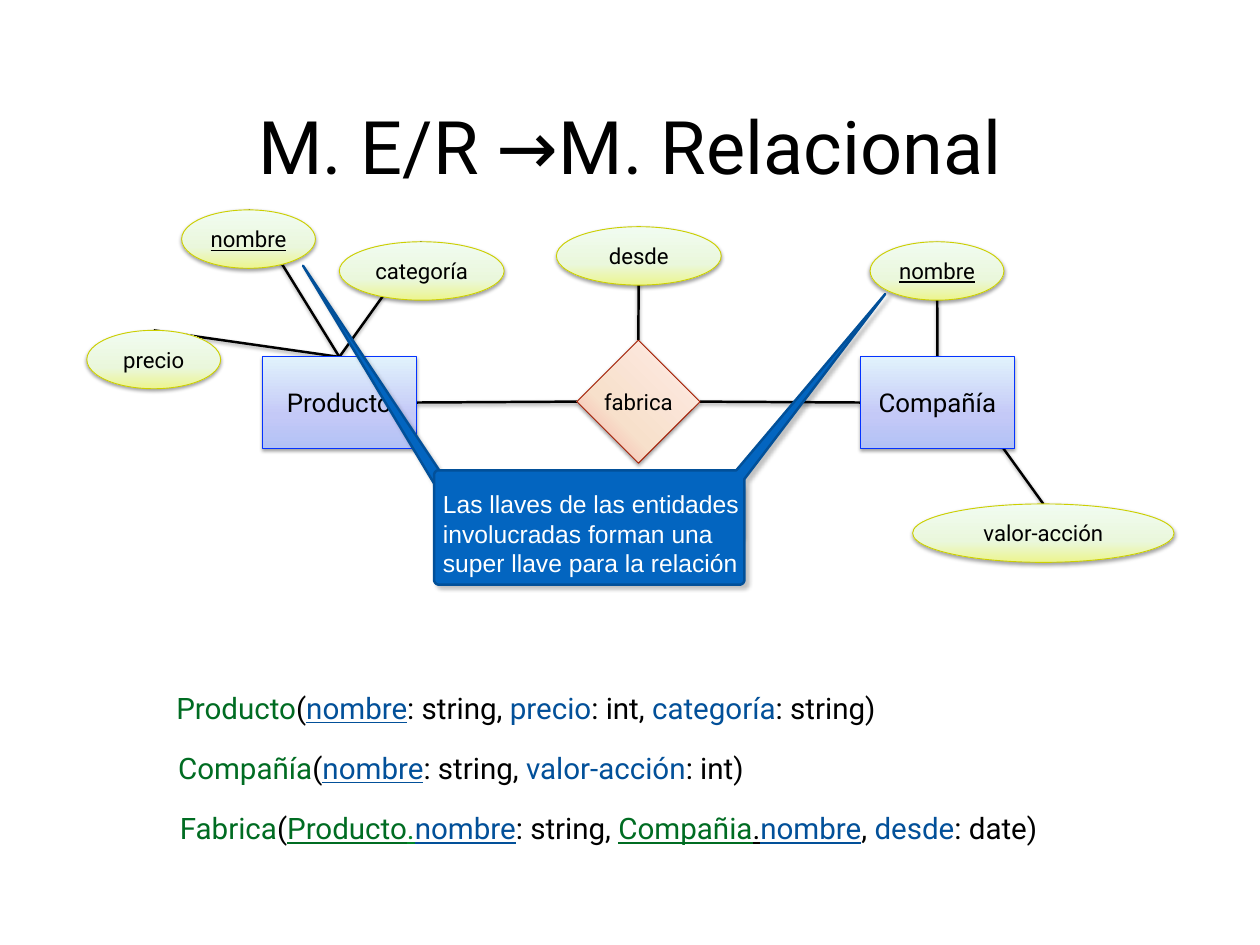
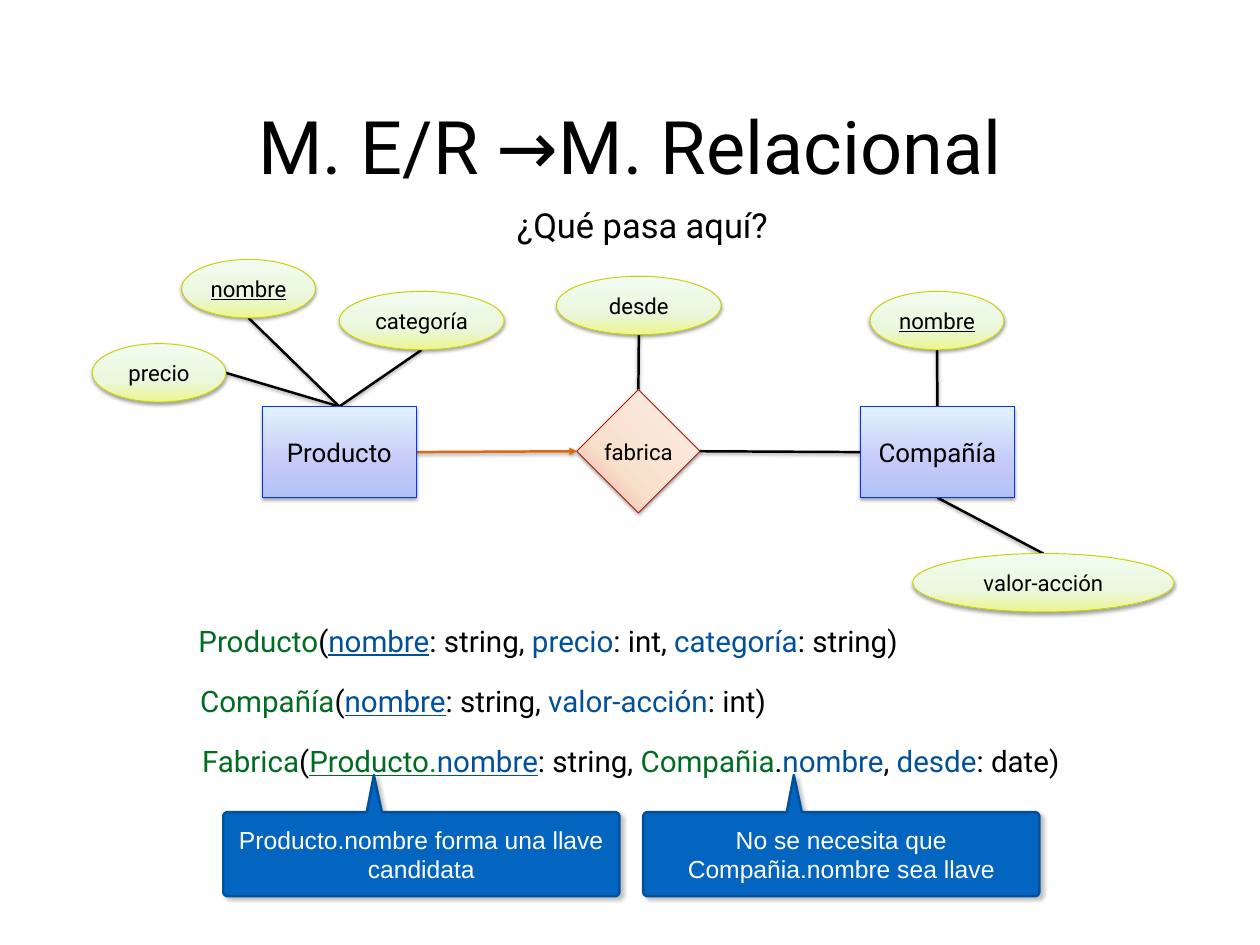
import math
from copy import deepcopy

from lxml import etree
from pptx import Presentation
from pptx.dml.color import RGBColor
from pptx.enum.shapes import MSO_CONNECTOR, MSO_SHAPE
from pptx.enum.text import MSO_ANCHOR, MSO_AUTO_SIZE, PP_ALIGN
from pptx.oxml.ns import qn
from pptx.util import Pt

SCALE = 9144  # EMU in one px, 100 px to the inch
SLIDE_SIZE = (1422, 1067)
TITLE_ONLY = 5

STRAIGHT = MSO_CONNECTOR.STRAIGHT
RECTANGLE, OVAL, DIAMOND = MSO_SHAPE.RECTANGLE, MSO_SHAPE.OVAL, MSO_SHAPE.DIAMOND
LEFT_ALIGNED, CENTERED = PP_ALIGN.LEFT, PP_ALIGN.CENTER
MIDDLE, NO_AUTOSIZE = MSO_ANCHOR.MIDDLE, MSO_AUTO_SIZE.NONE
TOP, LEFT, BOTTOM, RIGHT = range(4)
SIDE_FRACTIONS = {TOP: (0.5, 0), LEFT: (0, 0.5), BOTTOM: (0.5, 1), RIGHT: (1, 0.5)}
TOP_LEFT, TOP_RIGHT, BOTTOM_RIGHT, BOTTOM_LEFT = range(4)

FONT, CALLOUT_FONT = "Roboto", "Arial"
BLACK, WHITE, ORANGE = "000000", "FFFFFF", "DE6A10"
GREEN, LIGHT_GREEN, BLUE = "006C22", "00882B", "025099"
CALLOUT_FILL = "0365C0"
CORNER_RADIUS = 4

# Opacity in percent, distance in points, direction in degrees
SOFT_SHADOW = (37, 1.6, 90)
CALLOUT_SHADOW = (24, 3.3, 44)

# Preset, text size, outline colour, gradient angle and gradient stops
ENTITY = (RECTANGLE, 21, "0433FF", 90,
          [(0, "B2C2F5"), (0.36, "C4C9F7"), (1, "E1F2FC")])
ATTRIBUTE = (OVAL, 18, "CCCF00", 90,
             [(0, "ECF58E"), (0.36, "EAF7DC"), (1, "F1FCF1")])
RELATIONSHIP = (DIAMOND, 18, "A01D04", 45,
                [(0, "F5A09A"), (0.35, "F7E0CB"), (1, "FFEBE7")])

# Name: (style, text, underlined, box within the diagram)
NODES = {
    "company": (ENTITY, "Compañía", False, (873, 166, 174, 103)),
    "company name": (ATTRIBUTE, "nombre", True, (884, 36, 151, 66)),
    "share value": (ATTRIBUTE, "valor-acción", False, (932, 332, 295, 66)),
    "product name": (ATTRIBUTE, "nombre", True, (107, 0, 151, 66)),
    "price": (ATTRIBUTE, "precio", False, (0, 136, 151, 66)),
    "category": (ATTRIBUTE, "categoría", False, (285, 36, 186, 66)),
    "since": (ATTRIBUTE, "desde", False, (530, 19, 186, 66)),
    "makes": (RELATIONSHIP, "fabrica", False, (553, 147, 139, 139)),
    "product": (ENTITY, "Producto", False, (198, 166, 174, 103)),
}


def rgb(color):
    return RGBColor.from_string(color)


def emu(lengths):
    return [round(length * SCALE) for length in lengths]


def format_run(run, size, color, font=FONT, underline=False):
    run.font.size = Pt(size)
    run.font.name = font
    run.font.color.rgb = rgb(color)
    run.font.underline = underline


def set_frame(text_frame, margins, wrap=True):
    text_frame.word_wrap = wrap
    text_frame.auto_size = NO_AUTOSIZE
    text_frame.vertical_anchor = MIDDLE
    (text_frame.margin_left, text_frame.margin_top,
     text_frame.margin_right, text_frame.margin_bottom) = emu(margins)


def set_text(text_frame, text, size, color, alignment=CENTERED, **run_format):
    text_frame.text = text
    for paragraph in text_frame.paragraphs:
        paragraph.alignment = alignment
        for run in paragraph.runs:
            format_run(run, size, color, **run_format)


def set_line(shape, color, width):
    shape.line.color.rgb = rgb(color)
    shape.line.width = Pt(width)


def add_shadow(shape, opacity, distance, direction):
    """Append the shadow; fill and line must already be set."""
    effects = etree.SubElement(shape._element.spPr, qn("a:effectLst"))
    shadow = etree.SubElement(
        effects, qn("a:outerShdw"), blurRad=str(Pt(3)), dist=str(Pt(distance)),
        dir=str(direction * 60000), rotWithShape="0")
    color = etree.SubElement(shadow, qn("a:srgbClr"), val=BLACK)
    etree.SubElement(color, qn("a:alpha"), val=str(opacity * 1000))


def set_gradient(shape, angle, stops):
    shape.fill.gradient()
    shape.fill.gradient_angle = angle
    stop_list = shape._element.spPr.find(".//" + qn("a:gsLst"))
    stop_list.append(deepcopy(stop_list[-1]))
    for stop, (position, color) in zip(shape.fill.gradient_stops, stops):
        stop.position = position
        stop.color.rgb = rgb(color)


def add_text_box(slide, box):
    text_frame = slide.shapes.add_textbox(*emu(box)).text_frame
    set_frame(text_frame, (6, 6, 6, 6))
    return text_frame


def add_titled_slide(presentation):
    slide = presentation.slides.add_slide(presentation.slide_layouts[TITLE_ONLY])
    title = slide.shapes.title
    title.left, title.top, title.width, title.height = emu((214, 109, 994, 110))
    set_frame(title.text_frame, (6, 6, 6, 6))
    set_text(title.text_frame, "M. E/R →M. Relacional", 60, BLACK)
    return slide


def add_node(slide, style, text, underline, box):
    preset, size, outline, angle, stops = style
    node = slide.shapes.add_shape(preset, *emu(box))
    set_gradient(node, angle, stops)
    set_line(node, outline, 0.75)
    add_shadow(node, *SOFT_SHADOW)
    set_frame(node.text_frame, (0, 0, 0, 0), wrap=False)
    set_text(node.text_frame, text, size, BLACK, underline=underline)
    return node


def side_point(node, side):
    across, down = SIDE_FRACTIONS[side]
    return round(node.left + node.width * across), round(node.top + node.height * down)


def can_join(node, side):
    """Ovals number their eight sites differently; only the top agrees."""
    return side == TOP or node.auto_shape_type != OVAL


def add_link(slide, start, start_side, end, end_side, color=BLACK, arrow=False):
    """Link two nodes with a line that lies behind them."""
    link = slide.shapes.add_connector(
        STRAIGHT, *side_point(start, start_side), *side_point(end, end_side))
    if can_join(start, start_side):
        link.begin_connect(start, start_side)
    if can_join(end, end_side):
        link.end_connect(end, end_side)
    set_line(link, color, 2)
    if arrow:
        etree.SubElement(link.line._get_or_add_ln(), qn("a:tailEnd"), type="triangle")
    add_shadow(link, *SOFT_SHADOW)
    start._element.getparent().insert(2, link._element)


def add_diagram(slide, left, top, sides, price_offset=(0, 0), arrow=False):
    """Draw the entities; sides tells where each linked attribute is touched."""
    nodes = {}
    for name, (style, text, underline, (x, y, width, height)) in NODES.items():
        if name == "price":
            x, y = x + price_offset[0], y + price_offset[1]
        nodes[name] = add_node(slide, style, text, underline,
                               (left + x, top + y, width, height))
    product, company, makes = nodes["product"], nodes["company"], nodes["makes"]
    for name in ("price", "product name", "category"):
        add_link(slide, product, TOP, nodes[name], sides[name])
    add_link(slide, company, TOP, nodes["company name"], sides["company name"])
    add_link(slide, company, sides["company"], nodes["share value"], TOP)
    add_link(slide, nodes["since"], sides["since"], makes, TOP)
    add_link(slide, product, RIGHT, makes, LEFT, ORANGE if arrow else BLACK, arrow)
    add_link(slide, makes, RIGHT, company, LEFT)


def add_schema(slide, left, top, company_is_key):
    """Write the three relations; each part is text, colour and underline."""
    name_key = ("nombre", BLUE, True)
    opening, text_type = ("(", BLACK, False), (": string, ", BLACK, False)
    relations = [
        (884, [("Producto", GREEN, False), opening, name_key, text_type,
               ("precio", BLUE, False), (": int, ", BLACK, False),
               ("categoría", BLUE, False), (": string)", BLACK, False)]),
        (800, [("Compañía", GREEN, False), opening, name_key, text_type,
               ("valor-acción", BLUE, False), (": int)", BLACK, False)]),
        (1051, [("Fabrica", GREEN, False), opening, ("Producto", GREEN, True),
                (".", LIGHT_GREEN, True), name_key, text_type,
                ("Compañia", GREEN, company_is_key), (".", BLACK, company_is_key),
                ("nombre", BLUE, company_is_key), (", ", BLACK, False),
                ("desde", BLUE, False), (": date)", BLACK, False)]),
    ]
    for row, (width, parts) in enumerate(relations):
        box = (left + 2 * row, top + 68 * row, width, 52)
        paragraph = add_text_box(slide, box).paragraphs[0]
        paragraph.alignment = LEFT_ALIGNED
        for text, color, underline in parts:
            run = paragraph.add_run()
            run.text = text
            format_run(run, 24, color, underline=underline)


def corner_arc(box, corner):
    """Points of a rounded corner, clockwise."""
    left, top, width, height = box
    on_right = corner in (TOP_RIGHT, BOTTOM_RIGHT)
    on_bottom = corner in (BOTTOM_RIGHT, BOTTOM_LEFT)
    center_x = left + (width - CORNER_RADIUS if on_right else CORNER_RADIUS)
    center_y = top + (height - CORNER_RADIUS if on_bottom else CORNER_RADIUS)
    angles = [math.radians(180 + 90 * corner + step) for step in (0, 30, 60, 90)]
    return [(center_x + CORNER_RADIUS * math.cos(angle),
             center_y + CORNER_RADIUS * math.sin(angle)) for angle in angles]


def add_callout(slide, box, wedge, corners, text="", alignment=CENTERED, inset=(0, 0)):
    """Draw a rounded box with a wedge (base, tip, base) and the corners after it."""
    left, top = box[:2]
    points = [(left + x, top + y) for x, y in wedge]
    for corner in corners:
        points += corner_arc(box, corner)
    builder = slide.shapes.build_freeform(*points[0], scale=SCALE)
    builder.add_line_segments(points[1:], close=True)
    callout = builder.convert_to_shape()
    callout.fill.solid()
    callout.fill.fore_color.rgb = rgb(CALLOUT_FILL)
    set_line(callout, BLUE, 2)
    add_shadow(callout, *CALLOUT_SHADOW)
    if text:
        tip_height = -wedge[1][1]
        set_frame(callout.text_frame, (inset[0], tip_height + inset[1], 0, 0))
        set_text(callout.text_frame, text, 20, WHITE, alignment, font=CALLOUT_FONT)


def build_superkey_slide(presentation):
    slide = add_titled_slide(presentation)
    sides = dict.fromkeys([*NODES], TOP)
    add_diagram(slide, 98, 237, sides)
    add_schema(slide, 193, 773, company_is_key=True)
    add_callout(slide, (496, 545, 339, 62), [(0, 11), (-154, -245), (9, 0)],
                [TOP_RIGHT, BOTTOM_RIGHT, BOTTOM_LEFT])
    add_callout(slide, (490, 531, 350, 129), [(341, 0), (509, -199), (350, 10)],
                [BOTTOM_RIGHT, BOTTOM_LEFT, TOP_LEFT],
                "Las llaves de las entidades\ninvolucradas forman una\n"
                "super llave para la relación", LEFT_ALIGNED, (10, 13))


def build_candidate_key_slide(presentation):
    slide = add_titled_slide(presentation)
    set_text(add_text_box(slide, (397, 225, 656, 57)), "¿Qué pasa aquí?", 28, BLACK)
    sides = {**dict.fromkeys([*NODES], BOTTOM), "price": RIGHT}
    add_diagram(slide, 98, 293, sides, price_offset=(6, -41), arrow=True)
    add_schema(slide, 218, 697, company_is_key=False)
    notes = ["Producto.nombre forma una llave candidata",
             "No se necesita que Compañia.nombre sea llave"]
    for column, note in enumerate(notes):
        add_callout(slide, (252 + 474 * column, 917, 447, 95),
                    [(162, 0), (170, -42), (179, 0)],
                    [TOP_RIGHT, BOTTOM_RIGHT, BOTTOM_LEFT, TOP_LEFT], note)


def main():
    presentation = Presentation()
    presentation.slide_width, presentation.slide_height = emu(SLIDE_SIZE)
    build_superkey_slide(presentation)
    build_candidate_key_slide(presentation)
    presentation.save("out.pptx")


if __name__ == "__main__":
    main()
